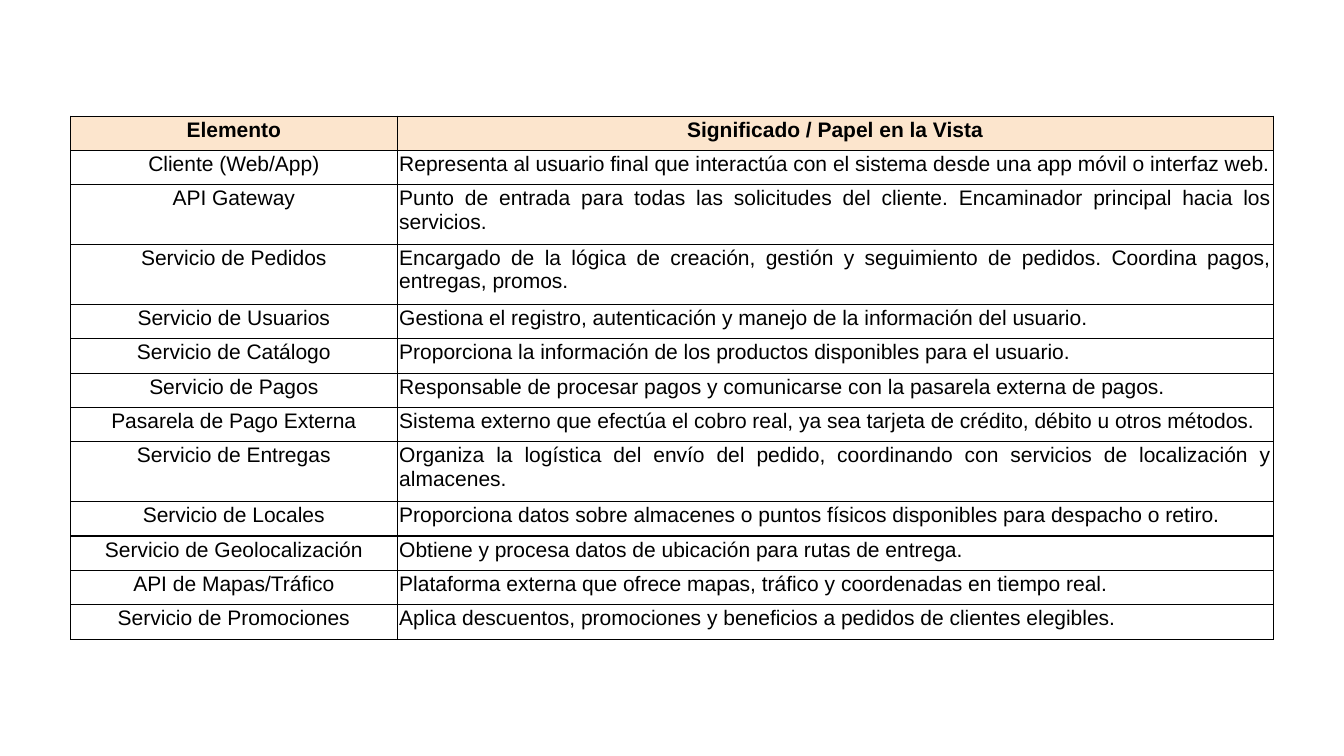
from lxml.etree import SubElement
from pptx import Presentation
from pptx.dml.color import RGBColor
from pptx.enum.text import PP_ALIGN
from pptx.oxml.ns import qn
from pptx.util import Pt

BLACK = RGBColor(0x00, 0x00, 0x00)
PEACH = RGBColor(0xFC, 0xE5, 0xCD)

BORDER_WIDTH = Pt(0.86)
CELL_INSET = Pt(1.5)
ONE_LINE_HEIGHT = Pt(24.6)
TWO_LINE_HEIGHT = Pt(42.65)
TWO_LINE_ELEMENTS = {"API Gateway", "Servicio de Pedidos", "Servicio de Entregas"}
ELEMENT_COLUMN_SHARE = 0.2716

HEADER = ("Elemento", "Significado / Papel en la Vista")
ELEMENTS = [
    ("Cliente (Web/App)", "Representa al usuario final que interactúa con el sistema desde una app móvil o interfaz web."),
    ("API Gateway", "Punto de entrada para todas las solicitudes del cliente. Encaminador principal hacia los servicios."),
    ("Servicio de Pedidos", "Encargado de la lógica de creación, gestión y seguimiento de pedidos. Coordina pagos, entregas, promos."),
    ("Servicio de Usuarios", "Gestiona el registro, autenticación y manejo de la información del usuario."),
    ("Servicio de Catálogo", "Proporciona la información de los productos disponibles para el usuario."),
    ("Servicio de Pagos", "Responsable de procesar pagos y comunicarse con la pasarela externa de pagos."),
    ("Pasarela de Pago Externa", "Sistema externo que efectúa el cobro real, ya sea tarjeta de crédito, débito u otros métodos."),
    ("Servicio de Entregas", "Organiza la logística del envío del pedido, coordinando con servicios de localización y almacenes."),
    ("Servicio de Locales", "Proporciona datos sobre almacenes o puntos físicos disponibles para despacho o retiro."),
    ("Servicio de Geolocalización", "Obtiene y procesa datos de ubicación para rutas de entrega."),
    ("API de Mapas/Tráfico", "Plataforma externa que ofrece mapas, tráfico y coordenadas en tiempo real."),
    ("Servicio de Promociones", "Aplica descuentos, promociones y beneficios a pedidos de clientes elegibles."),
]


def write_text(text_frame, text, *, size=15, bold=False, color=BLACK, align=PP_ALIGN.CENTER, font="Arial"):
    paragraph = text_frame.paragraphs[0]
    paragraph.alignment = align
    run = paragraph.add_run()
    run.text = text
    run.font.name = font
    run.font.size = Pt(size)
    run.font.bold = bold
    run.font.color.rgb = color


def add_borders(cell):
    properties = cell._tc.get_or_add_tcPr()
    for side in ("a:lnL", "a:lnR", "a:lnT", "a:lnB"):
        line = SubElement(properties, qn(side), w=str(int(BORDER_WIDTH)))
        fill = SubElement(line, qn("a:solidFill"))
        SubElement(fill, qn("a:srgbClr"), val=str(BLACK))


def format_cell(cell, text, *, is_header, align):
    cell.margin_left = cell.margin_right = CELL_INSET
    cell.margin_top = cell.margin_bottom = CELL_INSET
    add_borders(cell)
    if is_header:
        cell.fill.solid()
        cell.fill.fore_color.rgb = PEACH
    else:
        cell.fill.background()
    write_text(cell.text_frame, text, bold=is_header, align=align)


def add_elements_table(slide, left, top, width):
    rows = [HEADER] + ELEMENTS
    heights = [TWO_LINE_HEIGHT if name in TWO_LINE_ELEMENTS else ONE_LINE_HEIGHT for name, _ in rows]
    table = slide.shapes.add_table(len(rows), len(HEADER), left, top, width, sum(heights)).table
    table.first_row = False
    table.horz_banding = False
    table.columns[0].width = int(width * ELEMENT_COLUMN_SHARE)
    table.columns[1].width = width - table.columns[0].width
    for row_index, (row, height) in enumerate(zip(rows, heights)):
        table.rows[row_index].height = height
        is_header = row_index == 0
        meaning_align = PP_ALIGN.CENTER if is_header else PP_ALIGN.JUSTIFY
        for column_index, align in enumerate((PP_ALIGN.CENTER, meaning_align)):
            format_cell(table.cell(row_index, column_index), row[column_index], is_header=is_header, align=align)


def main():
    presentation = Presentation()
    presentation.slide_width = Pt(960)
    presentation.slide_height = Pt(540)
    slide = presentation.slides.add_slide(presentation.slide_layouts[6])
    add_elements_table(slide, Pt(50.4), Pt(82.9), Pt(859))
    presentation.save("out.pptx")


if __name__ == "__main__":
    main()
